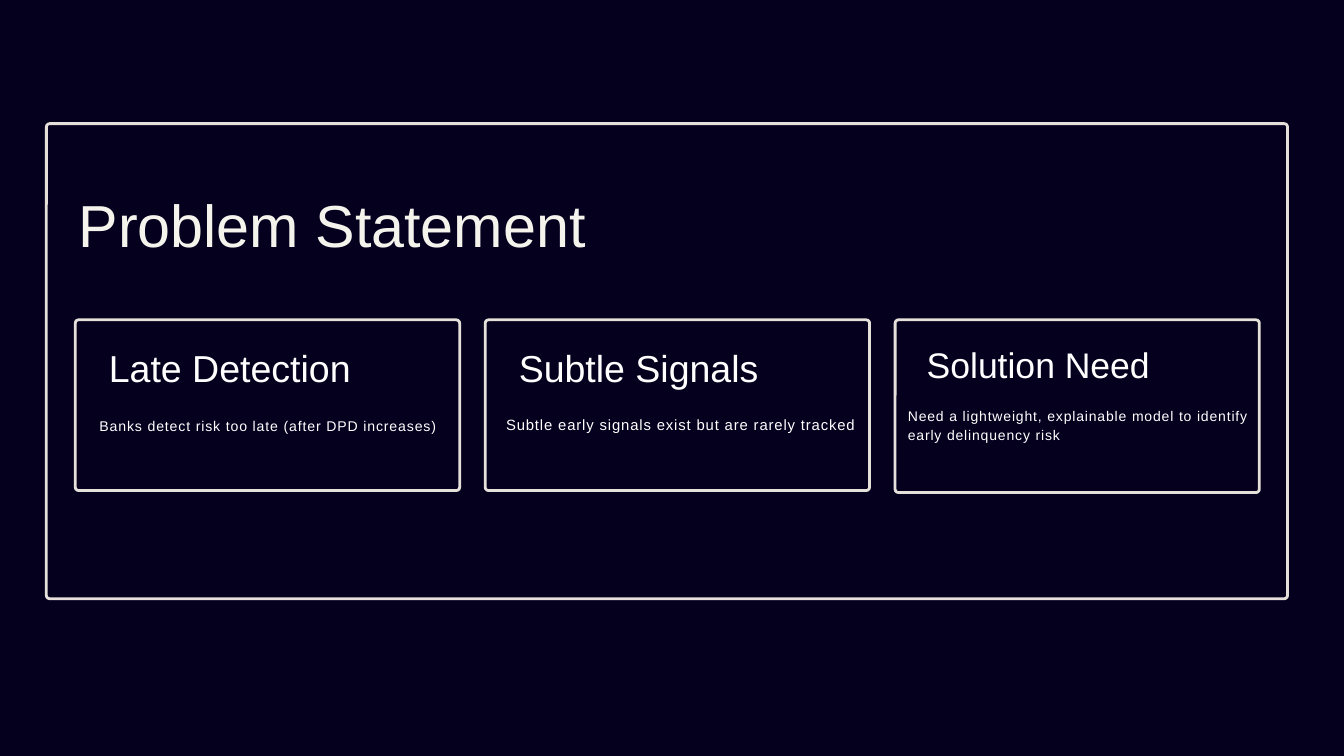
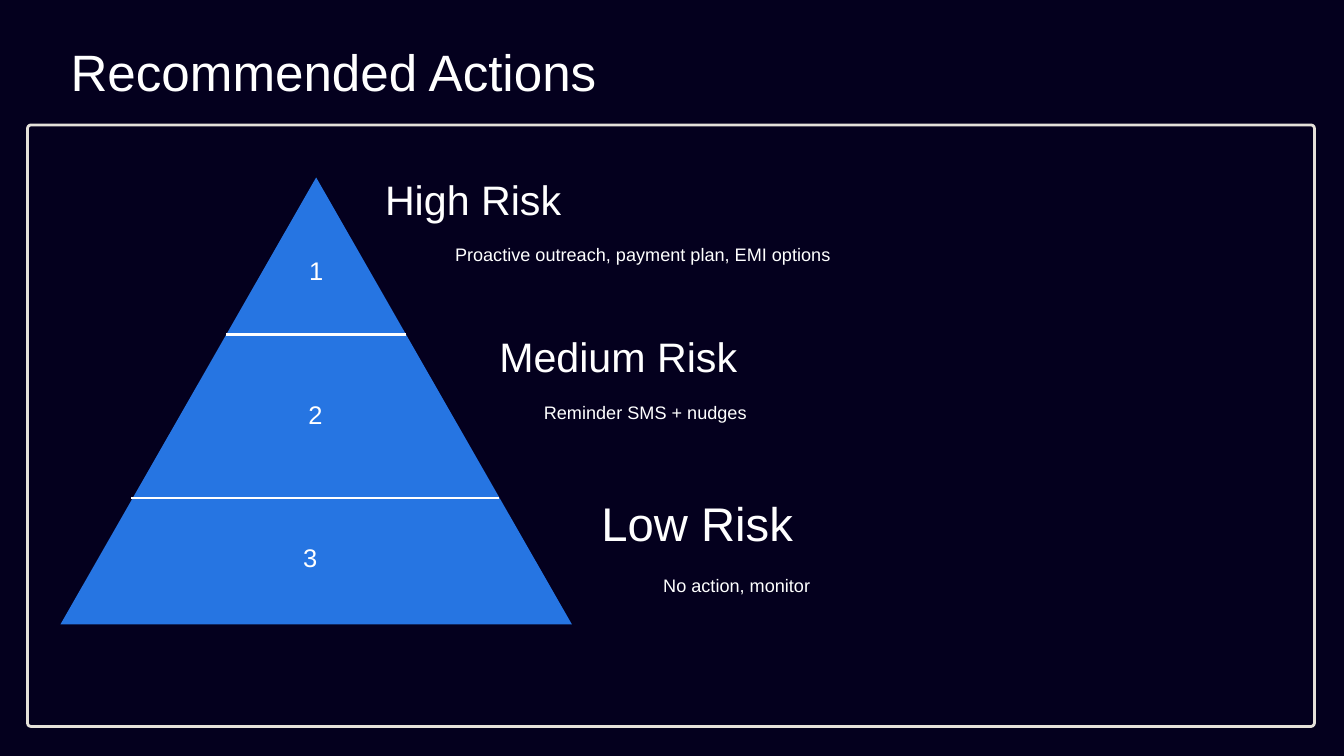
from collections import namedtuple

from lxml import etree
from pptx import Presentation
from pptx import util as u
from pptx.dml.color import RGBColor
from pptx.enum import shapes, text
from pptx.oxml import ns

FONT = "Arial"
NIGHT, CREAM, IVORY, WHITE, BLUE = "04001E", "E5E1DA", "F4F4ED", "FFFFFF", "2675E2"
RULE_WIDTH = 3
CORNER = 0.05

# Line height as a multiple of the text size, with letter spacing in points
HEADING = {"leading": 0.97}
CARD_BODY = {"leading": 1.35, "tracking": 0.9}
CAPTION = {"leading": 1.4, "align": text.PP_ALIGN.CENTER}

Box = namedtuple("Box", "left top width height")
Card = namedtuple("Card", "size heading heading_size inset body body_size body_box")
Tier = namedtuple("Tier", "heading heading_size heading_box action action_box number_left")

CARD_PITCH = 6.1
CARDS = [
    Card((5.72, 2.54), "Late Detection", 40.2, 0.5,
         "Banks detect risk too late (after DPD increases)", 15.1,
         Box(0.36, 1.42, 5.07, 0.53)),
    Card((5.72, 2.54), "Subtle Signals", 40.2, 0.5,
         "Subtle early signals exist but are rarely tracked", 15.9,
         Box(0.31, 1.4, 5.42, 0.56)),
    Card((5.42, 2.57), "Solution Need", 38.1, 0.47,
         "Need a lightweight, explainable model to identify early delinquency risk", 15,
         Box(0.19, 1.28, 5.1, 0.8)),
]

NUMBER_TOP, NUMBER_PITCH = 1.25, 2.13
TIERS = [
    Tier("High Risk", 44.1, Box(4.83, 0.1, 3.4, 1.23),
         "Proactive outreach, payment plan, EMI options", Box(5.23, 0.93, 6.88, 0.74), 3.7),
    Tier("Medium Risk", 44.1, Box(6.53, 2.43, 4.69, 1.23),
         "Reminder SMS + nudges", Box(6.93, 3.28, 3.55, 0.74), 3.69),
    Tier("Low Risk", 50.6, Box(8.05, 4.88, 3.91, 1.42),
         "No action, monitor", Box(8.7, 5.86, 2.73, 0.74), 3.61),
]
DIVIDERS = [(2.47, 5.14, 2.34), (1.05, 6.53, 4.77)]  # left, right, height down the pyramid


def rgb(hex_code):
    return RGBColor.from_string(hex_code)


def inches(values):
    return [u.Inches(value) for value in values]


def within(outer, inner):
    """Shift a box given relative to outer into slide coordinates."""
    return inner._replace(left=outer.left + inner.left, top=outer.top + inner.top)


def set_all(target, formats):
    for name, value in formats.items():
        setattr(target, name, value)


def add_filled(slide, preset, box, fill):
    shape = slide.shapes.add_shape(preset, *inches(box))
    shape.shadow.inherit = False
    shape.fill.solid()
    shape.fill.fore_color.rgb = rgb(fill)
    shape.line.fill.background()
    return shape


def add_frame(slide, box):
    frame = add_filled(slide, shapes.MSO_SHAPE.ROUNDED_RECTANGLE, box, NIGHT)
    frame.adjustments[0] = CORNER / min(box.width, box.height)
    frame.line.color.rgb = rgb(CREAM)
    frame.line.width = u.Pt(RULE_WIDTH)


def add_text(slide, box, words, size, leading, color=WHITE, tracking=0,
             align=text.PP_ALIGN.LEFT):
    frame = slide.shapes.add_textbox(*inches(box)).text_frame
    set_all(frame, {"word_wrap": True, "auto_size": text.MSO_AUTO_SIZE.SHAPE_TO_FIT_TEXT,
                    "margin_left": 0, "margin_top": 0,
                    "margin_right": 0, "margin_bottom": 0})
    paragraph = frame.paragraphs[0]
    set_all(paragraph, {"alignment": align, "line_spacing": u.Pt(size * leading)})
    run = paragraph.add_run()
    run.text = words
    set_all(run.font, {"name": FONT, "size": u.Pt(size)})
    run.font.color.rgb = rgb(color)
    if tracking:
        run._r.get_or_add_rPr().set("spc", str(round(tracking * 100)))


def add_divider(slide, left, right, top):
    divider = slide.shapes.add_connector(
        shapes.MSO_CONNECTOR.STRAIGHT, *inches((left, top, right, top)))
    divider.line.color.rgb = rgb(WHITE)
    divider.line.width = u.Pt(RULE_WIDTH)
    etree.SubElement(divider._element.spPr, ns.qn("a:effectLst"))


def add_card(slide, box, card):
    add_frame(slide, box)
    heading_box = Box(card.inset, card.inset, box.width - 2 * card.inset, 1.14)
    add_text(slide, within(box, heading_box), card.heading, card.heading_size, **HEADING)
    add_text(slide, within(box, card.body_box), card.body, card.body_size, **CARD_BODY)


def add_pyramid(slide, box):
    """Draw the numbered pyramid with each tier's risk and action beside it."""
    add_filled(slide, shapes.MSO_SHAPE.ISOSCELES_TRIANGLE, box, BLUE)
    for left, right, top in DIVIDERS:
        add_divider(slide, box.left + left, box.left + right, box.top + top)
    for index, tier in enumerate(TIERS):
        number_box = Box(tier.number_left, NUMBER_TOP + index * NUMBER_PITCH, 0.38, 0.4)
        add_text(slide, within(box, number_box), str(index + 1), 27.3, **HEADING)
        add_text(slide, within(box, tier.heading_box), tier.heading, tier.heading_size,
                 **HEADING)
        add_text(slide, within(box, tier.action_box), tier.action, 19.4, **CAPTION)


def new_slide(deck):
    slide = deck.slides.add_slide(deck.slide_layouts[6])
    slide.background.fill.solid()
    slide.background.fill.fore_color.rgb = rgb(NIGHT)
    return slide


def problem_slide(deck, panel):
    slide = new_slide(deck)
    add_frame(slide, panel)
    for index, card in enumerate(CARDS):
        card_box = Box(0.43 + index * CARD_PITCH, 2.92, *card.size)
        add_card(slide, within(panel, card_box), card)
    add_text(slide, within(panel, Box(0.48, 1.16, 9.53, 1.76)), "Problem Statement", 63.5,
             color=IVORY, **HEADING)


def actions_slide(deck, panel):
    slide = new_slide(deck)
    add_frame(slide, panel)
    add_text(slide, within(panel, Box(0.64, -1.08, 10.75, 1.52)), "Recommended Actions", 54.8,
             **HEADING)
    add_pyramid(slide, within(panel, Box(0.49, 0.78, 7.61, 6.65)))


def main():
    deck = Presentation()
    set_all(deck, {"slide_width": u.Inches(20), "slide_height": u.Inches(11.25)})
    problem_slide(deck, Box(0.69, 1.84, 18.47, 7.07))
    actions_slide(deck, Box(0.41, 1.86, 19.15, 8.95))
    deck.save("out.pptx")


if __name__ == "__main__":
    main()
